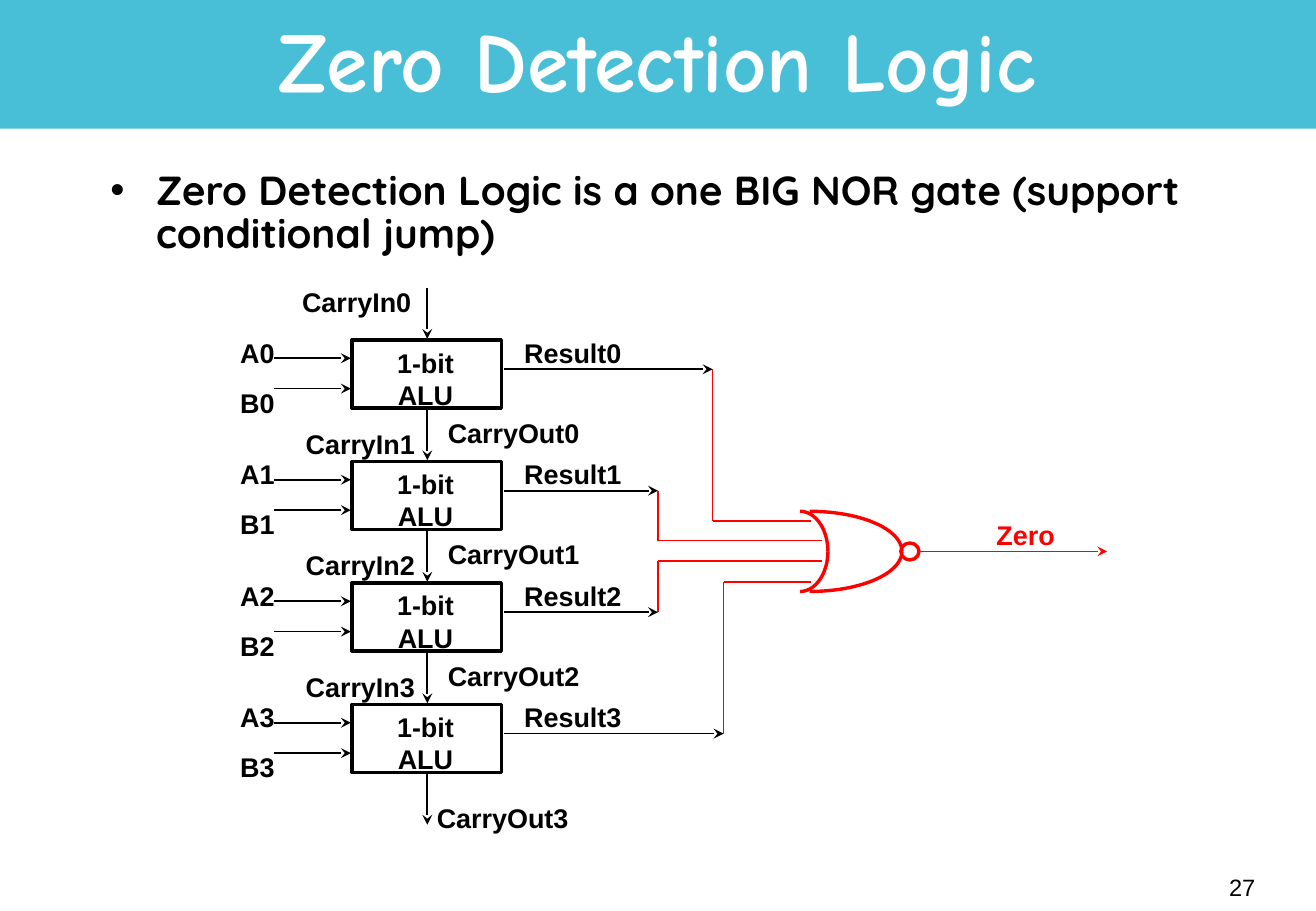
from dataclasses import dataclass
from math import cos, pi, sin

from lxml import etree
from pptx import Presentation
from pptx import util as u
from pptx.dml.color import RGBColor
from pptx.enum import shapes, text
from pptx.oxml import ns

Inches, Pt = u.Inches, u.Pt


@dataclass(frozen=True)
class Theme:
    """Colours, fonts and sizes of the slide."""
    band: RGBColor = RGBColor(0x49, 0xBF, 0xD7)
    white: RGBColor = RGBColor(0xFF, 0xFF, 0xFF)
    ink: RGBColor = RGBColor(0, 0, 0)
    signal: RGBColor = RGBColor(0xFF, 0, 0)
    bullet: RGBColor = RGBColor(0, 0, 0xFF)
    title_font: str = "Comic Neue"
    body_font: str = "Quicksand"
    label_font: str = "Arial"
    title_size: int = 50
    body_size: int = 24
    label_size: int = 16
    number_size: int = 14
    thin: int = 1
    thick: int = 2


THEME = Theme()
PITCH = 1
GATE_MIDDLE = 4.54
WIRES = [(5.87, 4.29, 6.68), (5.42, 4.45, 6.77),
         (5.42, 4.62, 6.77), (5.96, 4.79, 6.68)]


def set_formats(target, formats):
    """Set each named attribute of the target."""
    for name, value in formats.items():
        setattr(target, name, value)


def set_text(box, lines, font, size, colour, bold=True, frame=None, para=None):
    """Fill a box with formatted paragraphs."""
    frame_formats = {"margin_left": Inches(0.1), "margin_right": Inches(0.1),
                     "margin_top": Inches(0.05), "margin_bottom": Inches(0.05)}
    set_formats(box.text_frame, frame_formats | (frame or {}))
    box.text_frame.text = "\n".join(lines)
    for paragraph in box.text_frame.paragraphs:
        set_formats(paragraph, para or {})
        for span in paragraph.runs:
            set_formats(span.font, {"name": font, "size": Pt(size), "bold": bold})
            span.font.color.rgb = colour


def place(box, left, top, width, height):
    """Move and size a placeholder."""
    set_formats(box, {"left": Inches(left), "top": Inches(top),
                      "width": Inches(width), "height": Inches(height)})


def add_label(page, left, top, width, *lines, colour=THEME.ink, height=0.37, para=None):
    """Add a bold diagram label."""
    box = page.shapes.add_textbox(*map(Inches, (left, top, width, height)))
    set_text(box, lines, THEME.label_font, THEME.label_size, colour,
             frame={"word_wrap": False}, para=para)


def outline(shape, colour=THEME.ink):
    """Give a shape a thick outline and no fill."""
    shape.shadow.inherit = False
    shape.fill.background()
    shape.line.color.rgb = colour
    shape.line.width = Pt(THEME.thick)


def add_wire(page, x1, y1, x2, y2, colour=THEME.ink, arrow=False):
    """Add a thin wire, with an arrowhead at its end if asked."""
    wire = page.shapes.add_connector(shapes.MSO_CONNECTOR.STRAIGHT,
                                     *map(Inches, (x1, y1, x2, y2)))
    wire.line.color.rgb = colour
    wire.line.width = Pt(THEME.thin)
    properties = wire._element.spPr
    if arrow:
        etree.SubElement(properties.find(ns.qn("a:ln")), ns.qn("a:tailEnd"), type="stealth")
    etree.SubElement(properties, ns.qn("a:effectLst"))


def add_quarter(page, centre, radius, side):
    """Add a quarter ellipse of the gate, above (-1) or below (1) its middle."""
    angles = [step * pi / 48 for step in range(25)]
    points = [(Inches(centre + radius * cos(angle)),
               Inches(GATE_MIDDLE + side * 0.33 * sin(angle))) for angle in angles]
    builder = page.shapes.build_freeform(*points[0])
    builder.add_line_segments(points[1:], close=False)
    outline(builder.convert_to_shape(), THEME.signal)


def add_header(page):
    """Add the band and the title."""
    band = page.shapes.add_shape(shapes.MSO_SHAPE.RECTANGLE, 0, 0,
                                 Inches(10.84), Inches(1.06))
    band.shadow.inherit = False
    band.fill.solid()
    band.fill.fore_color.rgb = THEME.band
    band.line.fill.background()
    page.shapes._spTree.insert(2, band._element)
    title = page.shapes.title
    place(title, 0.81, 0.05, 9.21, 0.99)
    set_text(title, ["Zero Detection Logic"], THEME.title_font, THEME.title_size, THEME.white,
             frame={"vertical_anchor": text.MSO_ANCHOR.MIDDLE,
                    "auto_size": text.MSO_AUTO_SIZE.NONE},
             para={"alignment": text.PP_ALIGN.CENTER, "line_spacing": 0.85})


def add_point(page):
    """Fill the body placeholder with its bulleted statement."""
    body = page.placeholders[1]
    place(body, 0.81, 1.35, 9.21, 5.56)
    properties = body.text_frame.paragraphs[0]._p.get_or_add_pPr()
    indents = {"marL": Inches(0.38), "indent": Inches(-0.38)}
    for name, value in indents.items():
        properties.set(name, str(value))
    colour = etree.SubElement(properties, ns.qn("a:buClr"))
    etree.SubElement(colour, ns.qn("a:srgbClr"), val=str(THEME.bullet))
    etree.SubElement(properties, ns.qn("a:buSzPct"), val="75000")
    etree.SubElement(properties, ns.qn("a:buChar"), char="⧫")
    set_text(body, ["Zero Detection Logic is a one BIG NOR gate (support conditional jump)"],
             THEME.body_font, THEME.body_size, THEME.ink,
             frame={"auto_size": text.MSO_AUTO_SIZE.NONE},
             para={"line_spacing": 0.9, "space_before": Pt(0)})


def add_stage(page, index):
    """Add one ALU stage with its inputs, carries and result."""
    top = 2.8 + index * PITCH
    add_label(page, 1.88, top - 0.08, 0.49, f"A{index}")
    add_label(page, 1.88, top + 0.33, 0.49, f"B{index}")
    unit = page.shapes.add_shape(shapes.MSO_SHAPE.RECTANGLE,
                                 *map(Inches, (2.9, top, 1.23, 0.56)))
    outline(unit)
    add_label(page, 3.17, top, 0.67, "1-bit", "ALU", height=0.63,
              para={"alignment": text.PP_ALIGN.CENTER})
    for offset in (0.15, 0.4):
        add_wire(page, 2.26, top + offset, 2.89, top + offset, arrow=True)
    add_wire(page, 3.52, top - 0.43, 3.52, top - 0.01, arrow=True)
    carry_in = (2.42, top - 0.33) if index else (2.39, top - 0.5)
    carry_out = (3.5, top + 0.75) if index == len(WIRES) - 1 else (3.59, top + 0.58)
    add_label(page, *carry_in, 1.1, f"CarryIn{index}")
    add_label(page, *carry_out, 1.29, f"CarryOut{index}")
    add_label(page, 4.22, top - 0.08, 1, f"Result{index}")
    bend, gate_y, gate_x = WIRES[index]
    add_wire(page, 4.15, top + 0.24, bend, top + 0.24, arrow=True)
    add_wire(page, bend, top + 0.24, bend, gate_y, THEME.signal)
    add_wire(page, gate_x, gate_y, bend, gate_y, THEME.signal)


def add_gate(page):
    """Add the NOR gate and its output."""
    for centre, radius in ((6.67, 0.76), (6.59, 0.23)):
        for side in (-1, 1):
            add_quarter(page, centre, radius, side)
    bubble = page.shapes.add_shape(shapes.MSO_SHAPE.OVAL,
                                   *map(Inches, (7.42, 4.47, 0.15, 0.14)))
    outline(bubble, THEME.signal)
    add_wire(page, 7.58, GATE_MIDDLE, 9.12, GATE_MIDDLE, THEME.signal, arrow=True)
    add_label(page, 8.11, 4.22, 0.68, "Zero", colour=THEME.signal)


def add_number(page):
    """Add the page number."""
    box = page.shapes.add_textbox(*map(Inches, (8.18, 7.05, 2.26, 0.5)))
    set_text(box, ["27"], THEME.label_font, THEME.number_size, THEME.ink, bold=False,
             frame={"vertical_anchor": text.MSO_ANCHOR.MIDDLE, "word_wrap": True},
             para={"alignment": text.PP_ALIGN.RIGHT})


def main():
    """Build the slide and save it."""
    deck = Presentation()
    set_formats(deck, {"slide_width": Inches(10.84), "slide_height": Inches(7.5)})
    page = deck.slides.add_slide(deck.slide_layouts[1])
    add_header(page)
    add_point(page)
    for index in range(len(WIRES)):
        add_stage(page, index)
    add_wire(page, 3.52, 6.37, 3.52, 6.79, arrow=True)
    add_gate(page)
    add_number(page)
    deck.save("out.pptx")


if __name__ == "__main__":
    main()
